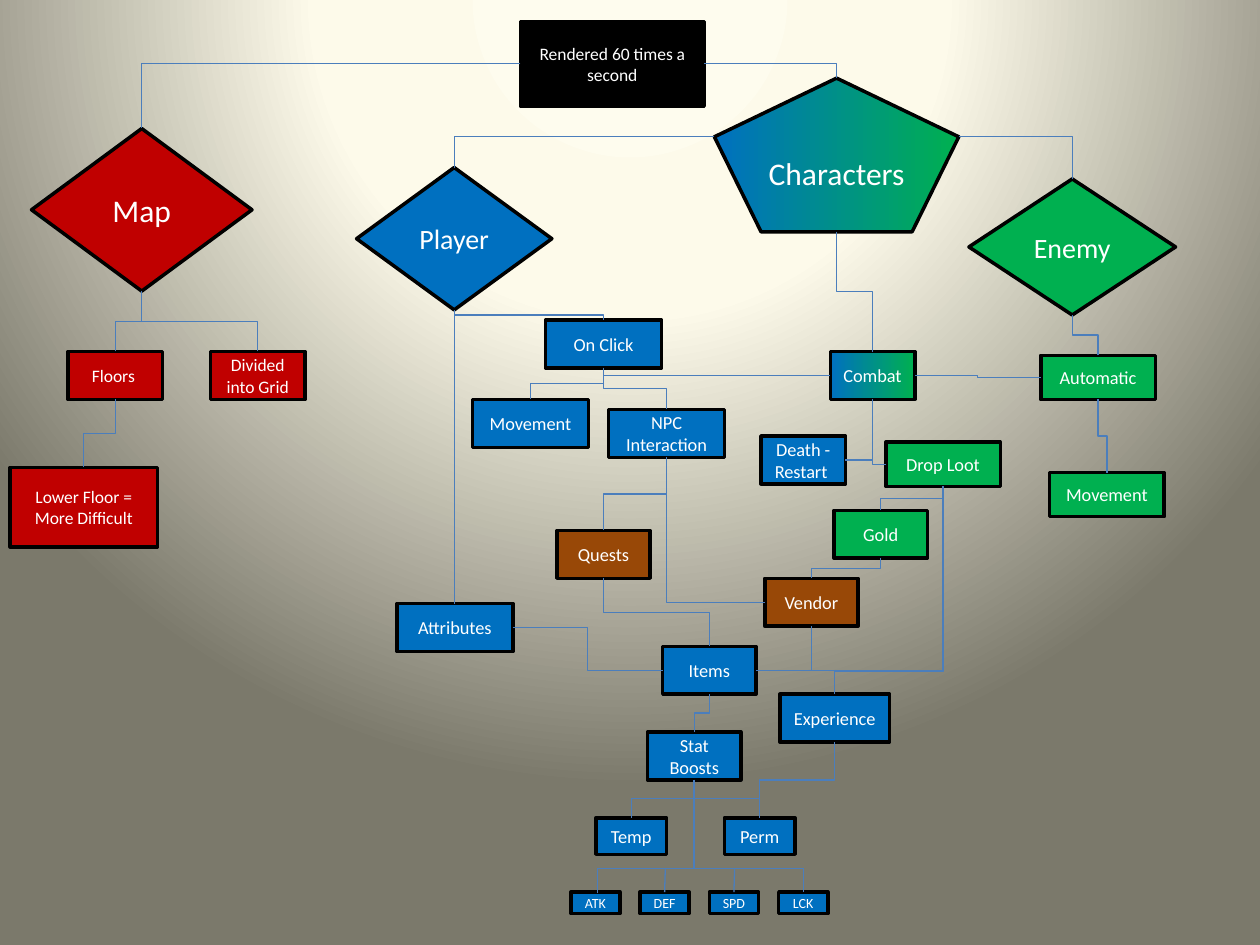
from lxml import etree
from pptx import Presentation
from pptx.dml.color import RGBColor
from pptx.enum.shapes import MSO_CONNECTOR, MSO_SHAPE
from pptx.enum.text import MSO_ANCHOR, PP_ALIGN
from pptx.oxml.ns import qn
from pptx.util import Inches, Pt

BOX = MSO_SHAPE.FLOWCHART_PROCESS
DIAMOND = MSO_SHAPE.DIAMOND
PENTAGON = MSO_SHAPE.REGULAR_PENTAGON
ELBOW = MSO_CONNECTOR.ELBOW
STRAIGHT = MSO_CONNECTOR.STRAIGHT
TOP, LEFT, BOTTOM, RIGHT = range(4)

THEME = {
    "font": "Calibri", "text": "FFFFFF", "outline": "000000", "link": "4B7EBC",
    "outline_pt": 2, "link_pt": 0.75,
    "root": ("000000",), "map": ("C00000",), "player": ("0070C0",),
    "enemy": ("00B050",), "npc": ("984807",), "shared": ("0070C0", "00B050"),
    "backdrop": [(0, "FEFCEE"), (40, "FDFAEA"), (100, "7B796B")],
    "title": 18, "branch": 16, "body": 10.5, "note": 10, "stat": 8,
}

WIDE, LOOT, SMALL = (0.92, 0.38), (0.91, 0.35), (0.74, 0.38)
FLOOR, COMBAT, TAG, STAT = (0.75, 0.38), (0.67, 0.38), (0.56, 0.29), (0.39, 0.17)

NODES = [
    ("root", "Rendered 60 times a second", BOX, (4.13, 0.17), (1.46, 0.67), "root", "note"),
    ("map", "Map", DIAMOND, (0.25, 1.02), (1.75, 1.29), "map", "title"),
    ("player", "Player ", DIAMOND, (2.83, 1.33), (1.55, 1.13), "player", "branch"),
    ("enemy", "Enemy", DIAMOND, (7.69, 1.42), (1.64, 1.08), "enemy", "branch"),
    ("characters", "Characters", PENTAGON, (5.67, 0.62), (1.94, 1.22), "shared", "title"),
    ("floors", "Floors ", BOX, (0.54, 2.79), FLOOR, "map", "note"),
    ("grid", "Divided into Grid", BOX, (1.67, 2.79), FLOOR, "map", "note"),
    ("lower", "Lower Floor = More Difficult", BOX, (0.08, 3.71), (1.17, 0.63), "map", "note"),
    ("click", "On Click", BOX, (4.33, 2.54), WIDE, "player", "body"),
    ("walk", "Movement", BOX, (3.75, 3.17), WIDE, "player", "body"),
    ("talk", "NPC Interaction", BOX, (4.83, 3.25), WIDE, "player", "body"),
    ("attributes", "Attributes", BOX, (3.15, 4.79), WIDE, "player", "body"),
    ("combat", "Combat", BOX, (6.59, 2.79), COMBAT, "shared", "body"),
    ("death", "Death - Restart ", BOX, (6.04, 3.46), COMBAT, "player", "body"),
    ("loot", "Drop Loot", BOX, (7.03, 3.51), LOOT, "enemy", "body"),
    ("automatic", "Automatic", BOX, (8.26, 2.82), LOOT, "enemy", "body"),
    ("roam", "Movement", BOX, (8.33, 3.75), LOOT, "enemy", "body"),
    ("gold", "Gold", BOX, (6.62, 4.05), SMALL, "enemy", "body"),
    ("quests", "Quests", BOX, (4.42, 4.21), SMALL, "npc", "body"),
    ("vendor", "Vendor", BOX, (6.07, 4.59), SMALL, "npc", "body"),
    ("items", "Items", BOX, (5.26, 5.13), SMALL, "player", "body"),
    ("boosts", "Stat Boosts", BOX, (5.14, 5.81), SMALL, "player", "body"),
    ("experience", "Experience", BOX, (6.19, 5.51), (0.87, 0.38), "player", "body"),
    ("temp", "Temp", BOX, (4.73, 6.49), TAG, "player", "body"),
    ("perm", "Perm", BOX, (5.75, 6.49), TAG, "player", "body"),
]
STATS, STAT_LEFT, STAT_TOP, STAT_STEP = ["ATK", "DEF", "SPD", "LCK"], 4.53, 7.08, 0.55
NODES += [(name, name, BOX, (STAT_LEFT + i * STAT_STEP, STAT_TOP), STAT, "player", "stat")
          for i, name in enumerate(STATS)]

LINKS = [
    (("root", LEFT), ("map", TOP), "HV", None),
    (("root", RIGHT), ("characters", TOP), "HV", None),
    (("characters", LEFT), ("player", TOP), "HV", None),
    (("characters", RIGHT), ("enemy", TOP), "HV", None),
    (("floors", TOP), ("map", BOTTOM), "VHV", 0.5),
    (("grid", TOP), ("map", BOTTOM), "VHV", 0.5),
    (("floors", BOTTOM), ("lower", TOP), "VHV", 0.5),
    (("click", TOP), ("player", BOTTOM), "VHV", 0.5),
    (("click", BOTTOM), ("walk", TOP), "VHV", 0.5),
    (("click", BOTTOM), ("talk", TOP), "VHV", 0.5),
    (("click", BOTTOM), ("combat", LEFT), "VH", None),
    (("attributes", TOP), (3.61, 2.5), "VHV", 0.5),
    (("attributes", RIGHT), ("items", LEFT), "HVH", 0.5),
    (("characters", BOTTOM), ("combat", TOP), "VHV", 0.5),
    (("combat", BOTTOM), ("death", RIGHT), "VH", None),
    (("combat", BOTTOM), ("loot", LEFT), "VH", None),
    (("automatic", LEFT), ("combat", RIGHT), "HVH", 0.5),
    (("automatic", TOP), ("enemy", BOTTOM), "VHV", 0.5),
    (("automatic", BOTTOM), ("roam", TOP), "VHV", 0.5),
    (("talk", BOTTOM), ("quests", TOP), "VHV", 0.5),
    (("vendor", LEFT), ("talk", BOTTOM), "HV", None),
    (("quests", BOTTOM), ("items", TOP), "VHV", 0.5),
    (("loot", BOTTOM), ("gold", TOP), "VHV", 0.5),
    (("loot", BOTTOM), ("items", RIGHT), "VH", None),
    (("loot", BOTTOM), ("experience", TOP), "VHV", 0.89),
    (("gold", BOTTOM), ("vendor", TOP), "VHV", 0.5),
    (("vendor", BOTTOM), ("items", RIGHT), "VH", None),
    (("items", BOTTOM), ("boosts", TOP), "VHV", 0.5),
    (("boosts", BOTTOM), ("temp", TOP), "VHV", 0.5),
    (("boosts", BOTTOM), ("perm", TOP), "VHV", 0.5),
    (("experience", BOTTOM), ("perm", TOP), "VHV", 0.5),
    (("boosts", BOTTOM), (5.51, 6.9), "VHV", 0.5),
    ((4.74, 7.09), (6.38, 7.08), "VHV", 20),
    ((5.28, 6.9), ("DEF", TOP), "straight", None),
    ((5.83, 6.9), ("SPD", TOP), "straight", None),
]
PENTAGON_SITES = {TOP: 0, LEFT: 1, BOTTOM: 3, RIGHT: 5}
PENTAGON_SHOULDER = 0.38


def rgb(value):
    return RGBColor.from_string(value)


def paint_backdrop(slide):
    slide.background.fill.gradient()
    gradient = slide.element.find(".//" + qn("a:gradFill"))
    for child in list(gradient):
        gradient.remove(child)
    stops = etree.SubElement(gradient, qn("a:gsLst"))
    for position, colour in THEME["backdrop"]:
        stop = etree.SubElement(stops, qn("a:gs"), pos=str(position * 1000))
        etree.SubElement(stop, qn("a:srgbClr"), val=colour)
    path_shade = etree.SubElement(gradient, qn("a:path"), path="circle")
    etree.SubElement(path_shade, qn("a:fillToRect"),
                     l="50000", t="-80000", r="50000", b="180000")


def add_node(slide, text, outline, place, size, family, type_size):
    node = slide.shapes.add_shape(outline, *map(Inches, place + size))
    node.shadow.inherit = False
    colours = THEME[family]
    if len(colours) == 1:
        node.fill.solid()
        node.fill.fore_color.rgb = rgb(colours[0])
    else:
        node.fill.gradient()
        node.fill.gradient_angle = 0
        for stop, colour in zip(node.fill.gradient_stops, colours):
            stop.color.rgb = rgb(colour)
    node.line.color.rgb = rgb(THEME["outline"])
    node.line.width = Pt(THEME["outline_pt"])
    frame = node.text_frame
    frame.word_wrap = True
    frame.vertical_anchor = MSO_ANCHOR.MIDDLE
    if outline == PENTAGON:
        frame.margin_left = frame.margin_right = 0
    paragraph = frame.paragraphs[0]
    paragraph.alignment = PP_ALIGN.CENTER
    run = paragraph.add_run()
    run.text = text
    run.font.name = THEME["font"]
    run.font.size = Pt(THEME[type_size])
    run.font.color.rgb = rgb(THEME["text"])
    return node


def locate(nodes, end):
    if end[0] not in nodes:
        return Inches(end[0]), Inches(end[1])
    node, side = nodes[end[0]], end[1]
    x = node.left + {LEFT: 0, RIGHT: node.width}.get(side, node.width // 2)
    middle = PENTAGON_SHOULDER if node.auto_shape_type == PENTAGON else 0.5
    y = node.top + {TOP: 0, BOTTOM: node.height}.get(side, int(node.height * middle))
    return x, y


def join(link, nodes, end, connect, tag):
    if end[0] in nodes:
        node, side = nodes[end[0]], end[1]
        connect(node, side)
        if node.auto_shape_type == PENTAGON:
            site = link.element.find(".//" + qn(tag))
            site.set("idx", str(PENTAGON_SITES[side]))


def bend(link, x1, y1, x2, y2, route, ratio):
    dx, dy = x2 - x1, y2 - y1
    width, height = abs(dx), abs(dy)
    if route[0] == "V":
        width, height = height, width
        turn = 90 if (dx >= 0) != (dy >= 0) else 270
        flips = {"flipH": dx >= 0, "flipV": dy < 0}
    else:
        turn = 180 if dx < 0 else 0
        flips = {"flipH": False, "flipV": (dx < 0) != (dy < 0)}
    link.left, link.top = (x1 + x2 - width) // 2, (y1 + y2 - height) // 2
    link.width, link.height = width, height
    frame = link.element.spPr.find(qn("a:xfrm"))
    frame.set("rot", str(turn * 60000))
    for name, flipped in flips.items():
        frame.set(name, str(int(flipped)))
    geometry = link.element.spPr.find(qn("a:prstGeom"))
    geometry.set("prst", f"bentConnector{len(route)}")
    if ratio is not None:
        etree.SubElement(geometry.find(qn("a:avLst")), qn("a:gd"),
                         name="adj1", fmla=f"val {round(ratio * 100000)}")


def add_link(slide, nodes, start, end, route, ratio):
    points = locate(nodes, start) + locate(nodes, end)
    link = slide.shapes.add_connector(STRAIGHT if route == "straight" else ELBOW, *points)
    join(link, nodes, start, link.begin_connect, "a:stCxn")
    join(link, nodes, end, link.end_connect, "a:endCxn")
    if route != "straight":
        bend(link, *points, route, ratio)
    link.line.color.rgb = rgb(THEME["link"])
    link.line.width = Pt(THEME["link_pt"])
    etree.SubElement(link.element.spPr, qn("a:effectLst"))


def main():
    deck = Presentation()
    deck.slide_width, deck.slide_height = Inches(10), Inches(7.5)
    slide = deck.slides.add_slide(deck.slide_layouts[6])
    paint_backdrop(slide)
    nodes = {key: add_node(slide, *details) for key, *details in NODES}
    for link in LINKS:
        add_link(slide, nodes, *link)
    deck.save("out.pptx")


if __name__ == "__main__":
    main()
